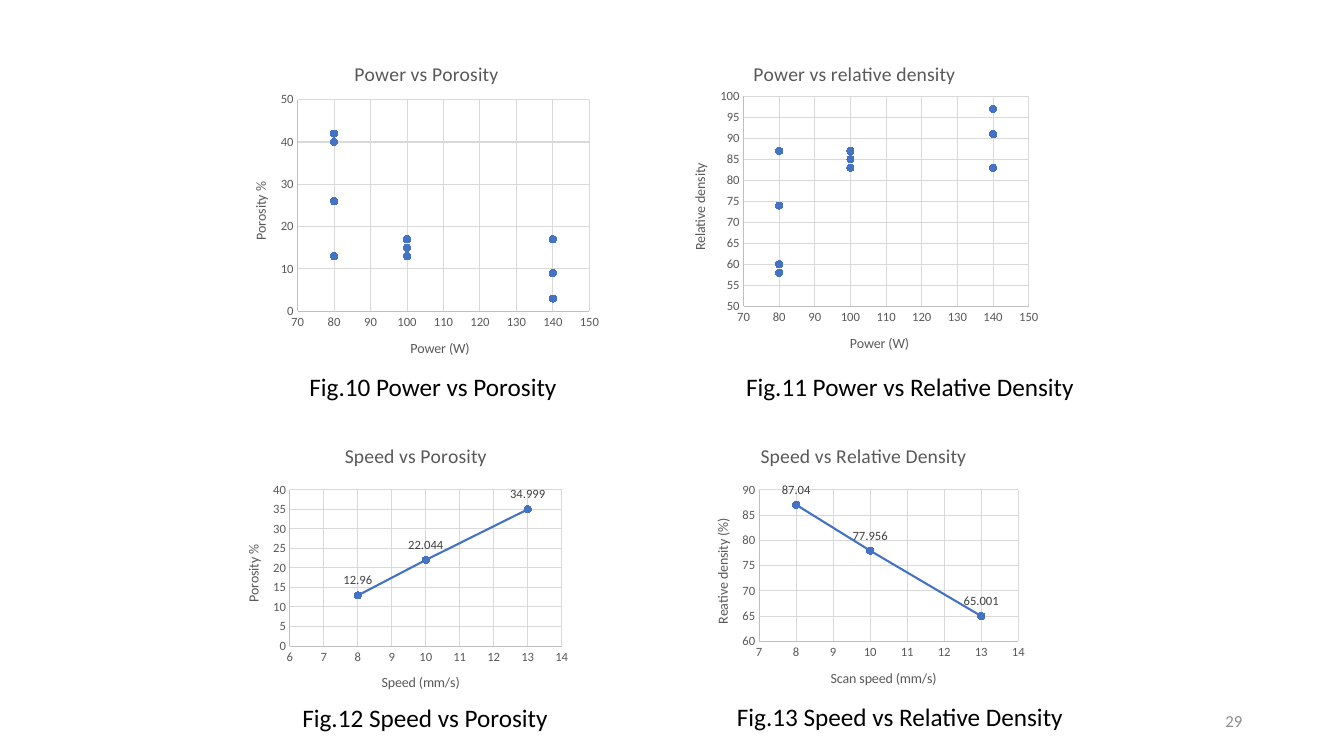
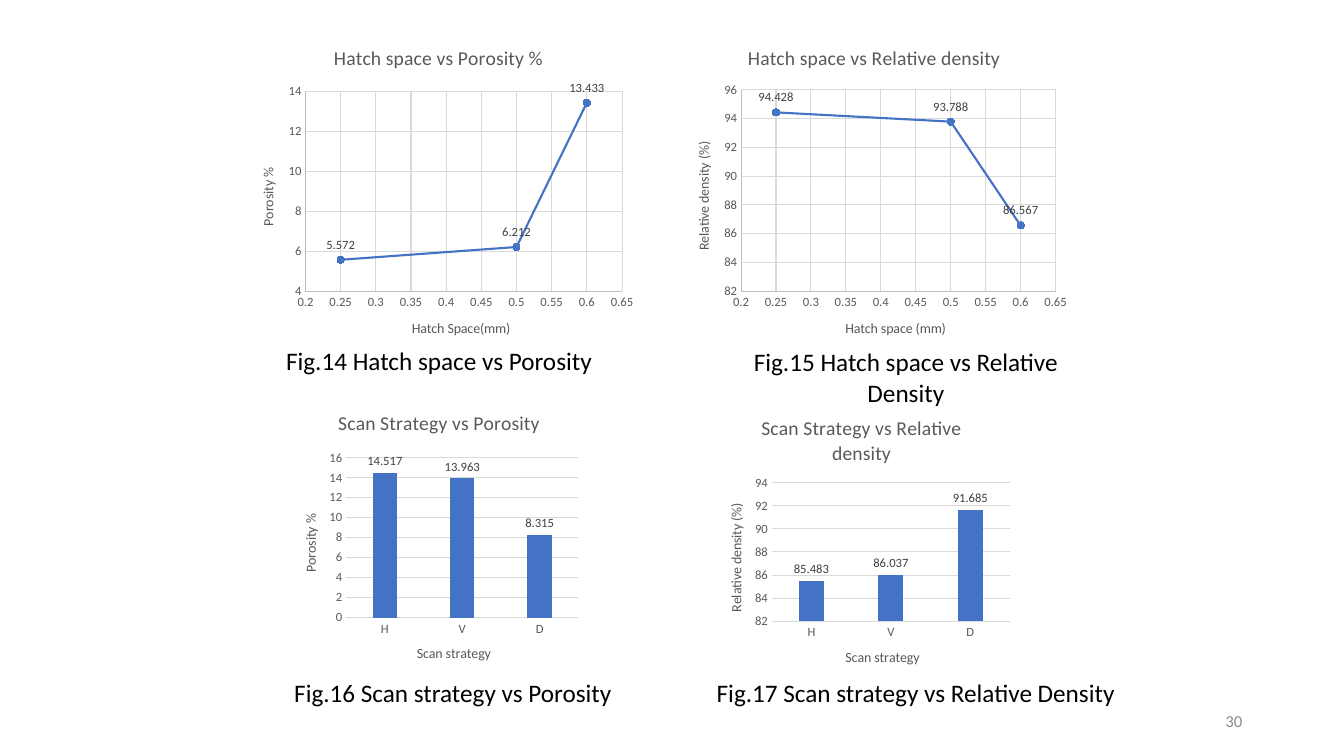
"""Build two slides of charts on porosity and relative density."""
from lxml.etree import SubElement
from pptx import Presentation
from pptx.chart.data import CategoryChartData, XyChartData
from pptx.chart.datalabel import DataLabels
from pptx.dml.color import RGBColor
from pptx.enum.chart import XL_CHART_TYPE, XL_LABEL_POSITION, XL_MARKER_STYLE, XL_TICK_MARK
from pptx.enum.text import MSO_ANCHOR, PP_ALIGN
from pptx.oxml import parse_xml
from pptx.oxml.ns import nsdecls, qn
from pptx.util import Inches, Pt

FACE = "Calibri"
BLUE, GRAY, GRID, EDGE = "4472C4", "595959", "D9D9D9", "BFBFBF"
LEFT, MID, RIGHT = PP_ALIGN.LEFT, PP_ALIGN.CENTER, PP_ALIGN.RIGHT
DOTS = XL_CHART_TYPE.XY_SCATTER
LINES = XL_CHART_TYPE.XY_SCATTER_LINES
BARS = XL_CHART_TYPE.COLUMN_CLUSTERED

POWER = [80] * 4 + [100] * 4 + [140] * 4
SPEED = [8, 10, 13]
HATCH = [0.25, 0.5, 0.6]
SCAN = ["H", "V", "D"]
WATTS = (70, 150, 10)
GAPS = (0.2, 0.65, 0.05)

SLIDES = [
    (29, [
        (DOTS, "Power vs Porosity", (2.35, 0.44, 3.76, 3.23), (0.16, 0.17, 0.77, 0.65),
         "Power (W)", WATTS, "Porosity %", (0, 50, 10),
         POWER, [13, 26, 40, 42, 13, 15, 15, 17, 3, 9, 9, 17]),
        (DOTS, "Power vs relative density", (6.51, 0.44, 3.93, 3.23), (0.22, 0.16, 0.72, 0.645),
         "Power (W)", WATTS, "Relative density", (50, 100, 5),
         POWER, [87, 74, 60, 58, 87, 85, 85, 83, 97, 91, 91, 83]),
        (LINES, "Speed vs Porosity", (2.34, 4.24, 3.57, 3.1), (0.15, 0.2, 0.755, 0.5),
         "Speed (mm/s)", (6, 14, 1), "Porosity %", (0, 40, 5),
         SPEED, [12.96, 22.044, 34.999]),
        (LINES, "Speed vs Relative Density", (6.78, 4.24, 3.57, 3.1), (0.21, 0.2, 0.72, 0.485),
         "Scan speed (mm/s)", (7, 14, 1), "Reative density (%)", (60, 90, 5),
         SPEED, [87.04, 77.956, 65.001]),
    ], [
        ("Fig.10 Power vs Porosity", (2.97, 3.63, 2.95, 0.4), LEFT),
        ("Fig.11 Power vs Relative Density", (7.22, 3.63, 3.61, 0.4), MID),
        ("Fig.12 Speed vs Porosity", (2.9, 6.92, 2.95, 0.4), LEFT),
        ("Fig.13 Speed vs Relative Density", (7.21, 6.91, 3.61, 0.4), LEFT),
    ]),
    (30, [
        (LINES, "Hatch space vs Porosity %", (2.35, 0.29, 4, 3.25), (0.17, 0.19, 0.785, 0.61),
         "Hatch Space(mm)", GAPS, "Porosity %", (4, 14, 2),
         HATCH, [5.572, 6.212, 13.433]),
        (LINES, "Hatch space vs Relative density", (6.67, 0.29, 4, 3.25), (0.17, 0.185, 0.78, 0.615),
         "Hatch space (mm)", GAPS, "Relative density (%)", (82, 96, 2),
         HATCH, [94.428, 93.788, 86.567]),
        (BARS, "Scan Strategy vs Porosity", (2.82, 3.92, 3.07, 2.83), (0.2, 0.22, 0.75, 0.56),
         "Scan strategy", None, "Porosity %", (0, 16, 2),
         SCAN, [14.517, 13.963, 8.315]),
        (BARS, "Scan Strategy vs Relative density", (7.01, 3.97, 3.07, 2.83), (0.21, 0.29, 0.77, 0.485),
         "Scan strategy", None, "Relative density (%)", (82, 94, 2),
         SCAN, [85.483, 86.037, 91.685]),
    ], [
        ("Fig.14 Hatch space vs Porosity", (2.44, 3.38, 3.83, 0.4), MID),
        ("Fig.15 Hatch space vs Relative Density", (7.07, 3.39, 3.83, 0.71), MID),
        ("Fig.16 Scan strategy vs Porosity", (2.82, 6.67, 3.5, 0.4), LEFT),
        ("Fig.17 Scan strategy vs Relative Density", (7.01, 6.67, 4.19, 0.4), LEFT),
    ]),
]


def tint(part, color):
    part.rgb = RGBColor.from_string(color)


def style(font, size, color):
    font.name, font.size, font.bold = FACE, Pt(size), False
    tint(font.color, color)


deck = Presentation()
deck.slide_width, deck.slide_height = Inches(13.33), Inches(7.5)

for page, charts, notes in SLIDES:
    slide = deck.slides.add_slide(deck.slide_layouts[6])

    for kind, title, box, plot, xname, xspan, yname, yspan, keys, vals in charts:
        if kind == BARS:
            data = CategoryChartData()
            data.categories = keys
            data.add_series(title, vals)
        else:
            data = XyChartData()
            row = data.add_series(title)
            for x, y in zip(keys, vals):
                row.add_data_point(x, y)
        chart = slide.shapes.add_chart(kind, *map(Inches, box), data).chart
        style(chart.font, 10, "000000")
        chart.has_legend = False
        chart.has_title = True
        chart.chart_title.text_frame.text = title
        style(chart.chart_title.text_frame.paragraphs[0].font, 14, GRAY)

        area = chart.element.find(".//" + qn("c:plotArea"))
        for old in area.findall(qn("c:layout")):
            area.remove(old)
        frame = parse_xml(f"<c:layout {nsdecls('c')}/>")
        area.insert(0, frame)
        spot = SubElement(frame, qn("c:manualLayout"))
        marks = ["inner", "edge", "edge", *plot]
        tags = ["layoutTarget", "xMode", "yMode", "x", "y", "w", "h"]
        for tag, mark in zip(tags, marks):
            SubElement(spot, qn("c:" + tag)).set("val", str(mark))

        across, up = chart.category_axis, chart.value_axis
        for axis, name, span in ((across, xname, xspan), (up, yname, yspan)):
            axis.has_title = True
            axis.axis_title.text_frame.text = name
            style(axis.axis_title.text_frame.paragraphs[0].font, 10, GRAY)
            axis.major_tick_mark = axis.minor_tick_mark = XL_TICK_MARK.NONE
            style(axis.tick_labels.font, 9, GRAY)
            axis.tick_labels.number_format = "General"
            axis.tick_labels.number_format_is_linked = False
            axis.format.line.width = Pt(0.75)
            tint(axis.format.line.color, GRID if kind == BARS else EDGE)
            axis.has_major_gridlines = span is not None
            if span:
                axis.minimum_scale, axis.maximum_scale, axis.major_unit = span
                axis.major_gridlines.format.line.width = Pt(0.75)
                tint(axis.major_gridlines.format.line.color, GRID)
        up.axis_title.element.find(".//" + qn("a:bodyPr")).set("rot", "-5400000")

        body = chart.plots[0]
        body.vary_by_categories = False
        line = body.series[0]
        if kind == BARS:
            up.format.line.fill.background()
            body.gap_width, body.overlap = 219, -27
            line.format.fill.solid()
            tint(line.format.fill.fore_color, BLUE)
        else:
            line.marker.style, line.marker.size = XL_MARKER_STYLE.CIRCLE, 5
            line.marker.format.fill.solid()
            tint(line.marker.format.fill.fore_color, BLUE)
            tint(line.marker.format.line.color, BLUE)
            line._element.get_or_add_smooth().val = False
            if kind == LINES:
                line.format.line.width = Pt(1.5)
                tint(line.format.line.color, BLUE)
            else:
                line.format.line.fill.background()
        if kind != DOTS:
            tips = DataLabels(line._element.get_or_add_dLbls())
            tips.show_value = True
            tips.number_format, tips.number_format_is_linked = "General", False
            tips.position = XL_LABEL_POSITION.OUTSIDE_END if kind == BARS else XL_LABEL_POSITION.ABOVE
            style(tips.font, 9, "404040")

    texts = [(*note, 18, "000000", MSO_ANCHOR.TOP) for note in notes]
    texts.append((str(page), (9.42, 6.95, 3, 0.4), RIGHT, 12, "8C8C8C", MSO_ANCHOR.MIDDLE))
    for text, box, align, size, color, anchor in texts:
        pane = slide.shapes.add_textbox(*map(Inches, box)).text_frame
        pane.word_wrap = True
        pane.vertical_anchor = anchor
        pane.text = text
        para = pane.paragraphs[0]
        para.alignment = align
        style(para.font, size, color)

deck.save("out.pptx")
